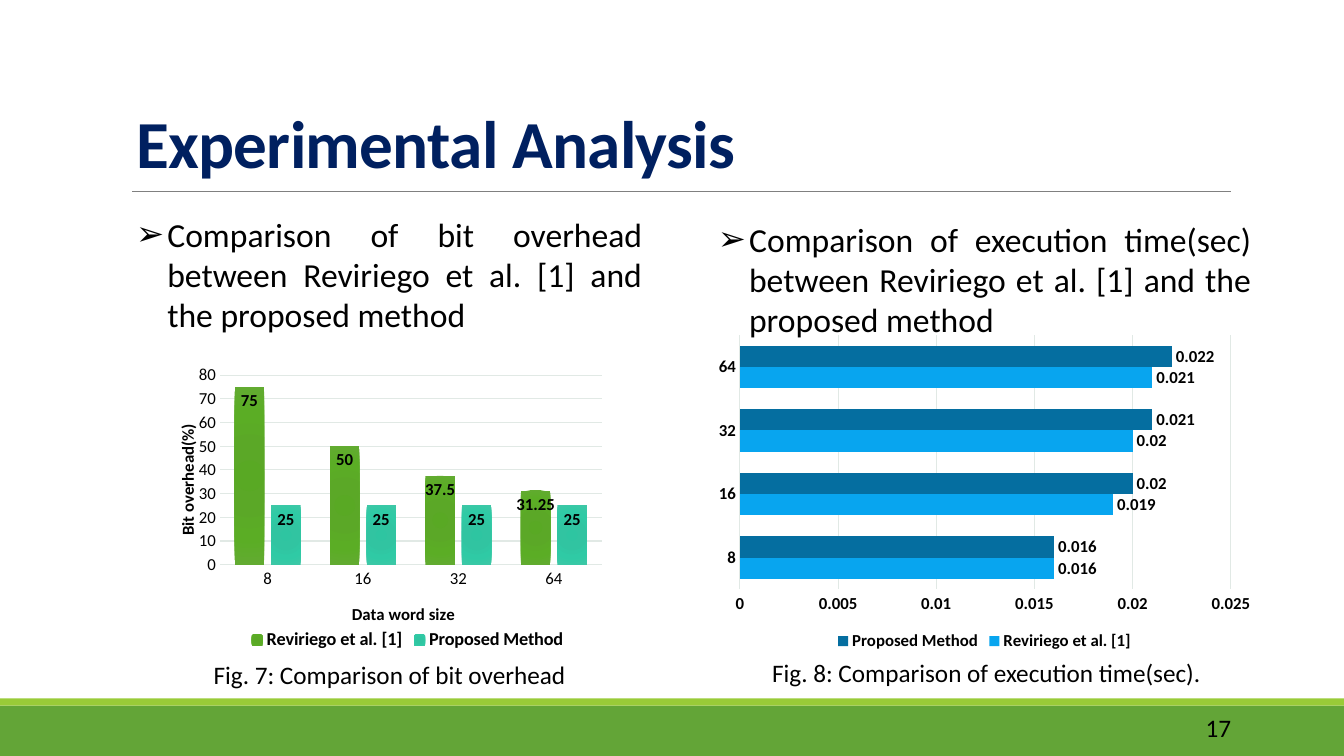
"""Build the slide on the experimental analysis with its two comparison charts."""
from lxml.etree import SubElement
from pptx import Presentation
from pptx.chart.data import CategoryChartData
from pptx.dml.color import RGBColor
from pptx.enum.chart import XL_CHART_TYPE, XL_LABEL_POSITION, XL_LEGEND_POSITION, XL_TICK_MARK
from pptx.enum.shapes import MSO_CONNECTOR, MSO_SHAPE
from pptx.enum.text import MSO_ANCHOR, MSO_AUTO_SIZE, PP_ALIGN
from pptx.oxml import parse_xml
from pptx.oxml.ns import nsdecls, qn
from pptx.util import Pt

PX = 9144
FONT = "Calibri"
BLACK = RGBColor(0x00, 0x00, 0x00)
NAVY = RGBColor(0x00, 0x20, 0x60)
GRAY = RGBColor(0x80, 0x80, 0x80)
GRID = RGBColor(0xE1, 0xE9, 0xE5)
GREEN = RGBColor(0x63, 0xA5, 0x37)
LIME = RGBColor(0x99, 0xCB, 0x38)
SKY = RGBColor(0x08, 0xA5, 0xEF)
OCEAN = RGBColor(0x05, 0x6E, 0xA0)
LEAF_STOPS = [
    (0, RGBColor(0x59, 0xA9, 0x24)), (34, RGBColor(0x5B, 0xA8, 0x27)),
    (70, RGBColor(0x5B, 0xAD, 0x25)), (100, RGBColor(0x62, 0xAB, 0x31)),
]
TEAL_STOPS = [
    (0, RGBColor(0x2E, 0xC5, 0xA1)), (34, RGBColor(0x31, 0xC4, 0xA1)),
    (70, RGBColor(0x2F, 0xCA, 0xA5)), (100, RGBColor(0x3E, 0xC7, 0xA6)),
]
WORD_SIZES = ["8", "16", "32", "64"]
REFERENCE = "Reviriego et al. [1]"
PROPOSED = "Proposed Method"


def px(*lengths):
    """Turn px lengths into EMU."""
    return [length * PX for length in lengths]


def set_font(font, size, color=BLACK, bold=False):
    """Apply the slide font with the given size, colour and weight."""
    values = {"name": FONT, "size": Pt(size), "bold": bold}
    for name, value in values.items():
        setattr(font, name, value)
    font.color.rgb = color


def place(shape, at):
    """Move and size a shape to a px frame."""
    for name, value in zip(("left", "top", "width", "height"), px(*at)):
        setattr(shape, name, value)


def write(shape, text, size, anchor=MSO_ANCHOR.TOP, align=PP_ALIGN.LEFT, color=BLACK, bold=False):
    """Put one formatted paragraph into a shape and return the paragraph."""
    frame = shape.text_frame
    values = {"word_wrap": True, "auto_size": MSO_AUTO_SIZE.NONE, "vertical_anchor": anchor}
    for name, value in values.items():
        setattr(frame, name, value)
    para = frame.paragraphs[0]
    para.alignment = align
    span = para.add_run()
    span.text = text
    set_font(span.font, size, color, bold)
    return para


def fill_title(title):
    """Format the title placeholder."""
    place(title, (125, 27, 1100, 159))
    para = write(title, "Experimental Analysis", 48, MSO_ANCHOR.BOTTOM, color=NAVY, bold=True)
    para.line_spacing = 0.85
    para.runs[0].font._element.set("spc", "-50")


def fill_bullet(body, at, text):
    """Format a body placeholder as one justified arrow bullet."""
    place(body, at)
    para = write(body, text, 24, align=PP_ALIGN.JUSTIFY)
    properties = para._p.get_or_add_pPr()
    for name, value in {"marL": 31 * PX, "indent": -31 * PX}.items():
        properties.set(name, str(value))
    SubElement(properties, qn("a:buChar")).set("char", "➢")
    para.space_before = Pt(0)


def add_label(page, at, text, **options):
    """Add a text box with 18 point text."""
    box = page.shapes.add_textbox(*px(*at))
    write(box, text, 18, **options)


def add_band(page, at, color):
    """Add a plain filled rectangle."""
    band = page.shapes.add_shape(MSO_SHAPE.RECTANGLE, *px(*at))
    band.shadow.inherit = False
    band.fill.solid()
    band.fill.fore_color.rgb = color
    band.line.fill.background()


def add_rule(page, start, end):
    """Add the thin line under the title."""
    rule = page.shapes.add_connector(MSO_CONNECTOR.STRAIGHT, *px(*start, *end))
    rule.line.color.rgb = GRAY
    rule.line.width = Pt(0.5)
    SubElement(rule._element.spPr, qn("a:effectLst"))


def set_layout(element, values):
    """Give a chart part a manual layout."""
    layout = element.find(qn("c:layout"))
    if layout is None:
        layout = parse_xml(f"<c:layout {nsdecls('c')}/>")
        element.insert(0, layout)
    manual = SubElement(layout, qn("c:manualLayout"))
    for name, value in values.items():
        SubElement(manual, qn(f"c:{name}")).set("val", str(value))


def fill_series(series, paint):
    """Fill bars with a colour or with circular gradient stops."""
    if isinstance(paint, RGBColor):
        series.format.fill.solid()
        series.format.fill.fore_color.rgb = paint
        return
    stops = "".join(
        f'<a:gs pos="{percent * 1000}"><a:srgbClr val="{color}"/></a:gs>' for percent, color in paint
    )
    series._element.get_or_add_spPr().append(parse_xml(
        f'<a:gradFill {nsdecls("a")}><a:gsLst>{stops}</a:gsLst><a:path path="circle">'
        '<a:fillToRect l="100000" t="100000" r="100000" b="100000"/></a:path></a:gradFill>'
    ))


def format_axis(axis, bold):
    """Style the labels, ticks and line of an axis."""
    axis.major_tick_mark = axis.minor_tick_mark = XL_TICK_MARK.NONE
    set_font(axis.tick_labels.font, 12, bold=bold)
    axis.format.line.color.rgb = GRID
    axis.format.line.width = Pt(0.75)


def add_axis_title(axis, text, position):
    """Add a bold axis title at a fraction of the chart."""
    para = axis.axis_title.text_frame.paragraphs[0]
    span = para.add_run()
    span.text = text
    set_font(span.font, 12, bold=True)
    modes = {"xMode": "edge", "yMode": "edge"}
    set_layout(axis.axis_title._element, modes | dict(zip("xy", position)))


def add_bar_chart(page, kind, at, series_rows, maximum, step, legend_size, bold, label_position):
    """Add a clustered chart of the word sizes and return it."""
    data = CategoryChartData()
    data.categories = WORD_SIZES
    for name, values, _ in series_rows:
        data.add_series(name, values)
    chart = page.shapes.add_chart(kind, *px(*at), data).chart
    chart.has_title = False
    set_font(chart.font, 10)
    chart._chartSpace.find(qn("c:txPr")).addprevious(
        parse_xml(f"<c:spPr {nsdecls('c', 'a')}><a:noFill/><a:ln><a:noFill/></a:ln></c:spPr>")
    )
    chart.has_legend = True
    chart.legend.position = XL_LEGEND_POSITION.BOTTOM
    chart.legend.include_in_layout = False
    set_font(chart.legend.font, legend_size, bold=True)
    format_axis(chart.category_axis, bold)
    value_axis = chart.value_axis
    format_axis(value_axis, bold)
    value_axis.format.line.fill.background()
    value_axis.major_gridlines.format.line.color.rgb = GRID
    value_axis.major_gridlines.format.line.width = Pt(0.75)
    for name, value in {"minimum_scale": 0, "maximum_scale": maximum, "major_unit": step}.items():
        setattr(value_axis, name, value)
    plot = chart.plots[0]
    plot.vary_by_categories = False
    plot.gap_width = 100
    for series, (_, _, paint) in zip(plot.series, series_rows):
        fill_series(series, paint)
        labels = series.data_labels
        labels.show_value = True
        labels.position = label_position
        set_font(labels.font, 12, bold=True)
    return chart


def main():
    """Build and save the deck."""
    deck = Presentation()
    deck.slide_width, deck.slide_height = px(1333, 750)
    page = deck.slides.add_slide(deck.slide_layouts[3])
    title, left_body, right_body = page.placeholders
    add_band(page, (0, 700, 1333, 50), GREEN)
    add_band(page, (0, 693, 1333, 7), LIME)
    add_rule(page, (131, 190), (1221, 190))
    fill_title(title)
    fill_bullet(left_body, (125, 207, 522, 131),
                "Comparison of bit overhead between Reviriego et al. [1] and the proposed method")
    fill_bullet(right_body, (702, 212, 549, 131),
                "Comparison of execution time(sec) between Reviriego et al. [1] and the proposed method")
    overhead = add_bar_chart(
        page, XL_CHART_TYPE.COLUMN_CLUSTERED, (162, 344, 484, 306),
        [(REFERENCE, (75, 50, 37.5, 31.25), LEAF_STOPS), (PROPOSED, (25, 25, 25, 25), TEAL_STOPS)],
        80, 10, 13, False, XL_LABEL_POSITION.INSIDE_END)
    overhead.plots[0].overlap = -24
    set_layout(overhead._chartSpace.chart.plotArea, {
        "layoutTarget": "inner", "xMode": "edge", "yMode": "edge",
        "x": 0.116, "y": 0.092, "w": 0.782, "h": 0.615})
    add_axis_title(overhead.category_axis, "Data word size", (0.38, 0.82))
    add_axis_title(overhead.value_axis, "Bit overhead(%)", (0.02, 0.24))
    add_bar_chart(
        page, XL_CHART_TYPE.BAR_CLUSTERED, (702, 326, 549, 324),
        [(REFERENCE, (0.016, 0.019, 0.02, 0.021), SKY), (PROPOSED, (0.016, 0.02, 0.021, 0.022), OCEAN)],
        0.025, 0.005, 12, True, XL_LABEL_POSITION.OUTSIDE_END)
    add_label(page, (202, 649, 379, 40), "Fig. 7: Comparison of bit overhead")
    add_label(page, (756, 647, 456, 40), "Fig. 8: Comparison of execution time(sec).")
    add_label(page, (1088, 702, 143, 40), "17", anchor=MSO_ANCHOR.MIDDLE, align=PP_ALIGN.RIGHT)
    deck.save("out.pptx")


if __name__ == "__main__":
    main()
